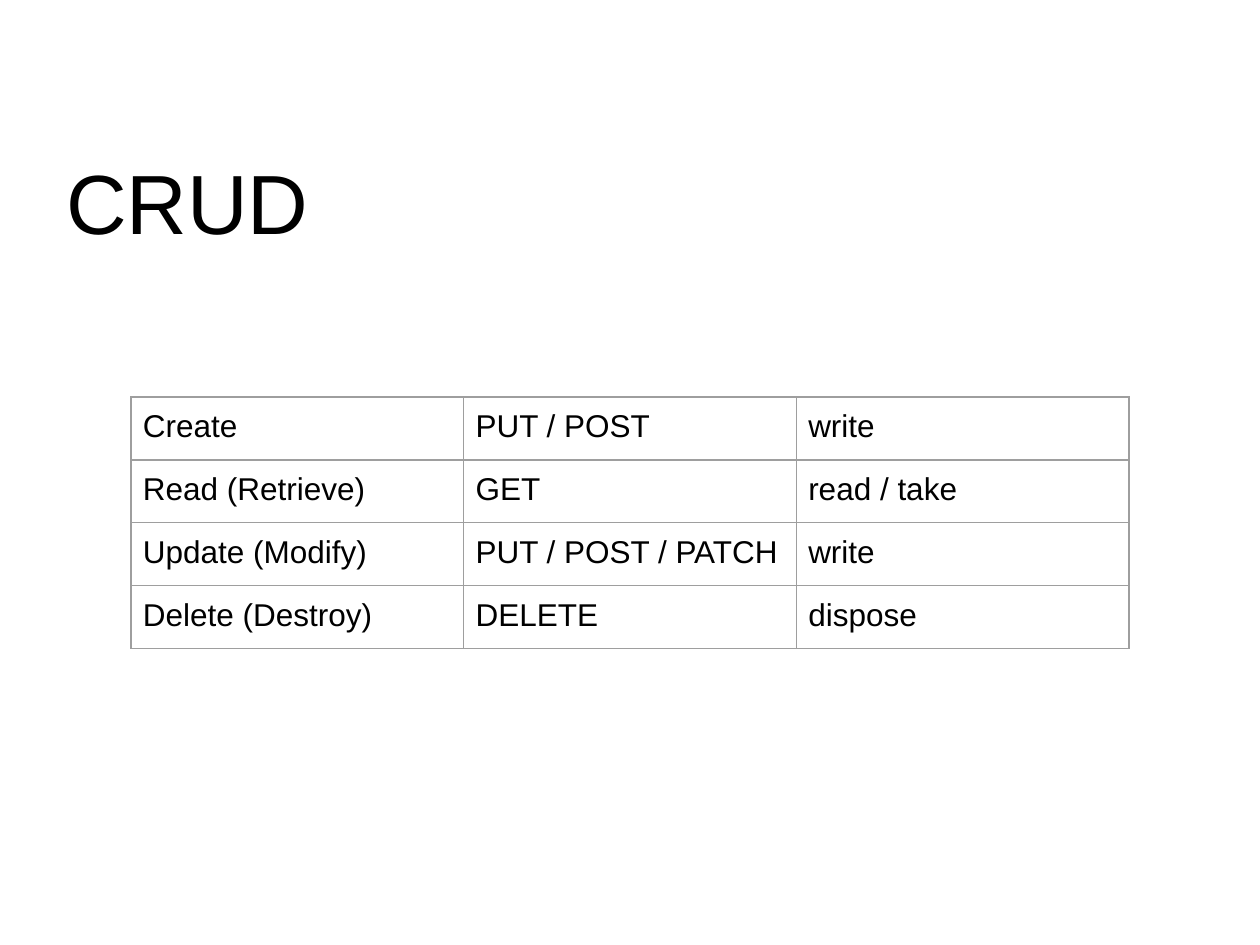
"""Build the CRUD slide: a title above a table of operations, HTTP methods and actions."""
import pptx
import pptx.dml.color
import pptx.enum.text
import pptx.oxml
import pptx.oxml.ns
import pptx.util

THEME = {"font": "Arial", "text": "000000", "border": "9E9E9E", "background": "FFFFFF", "title": 48, "body": 18}
PX = pptx.util.Inches(1) // 126
INSET = 12


def write_text(frame, text, size, top_inset=INSET):
    frame.word_wrap = True
    frame.vertical_anchor = pptx.enum.text.MSO_ANCHOR.TOP
    frame.margin_left = frame.margin_right = frame.margin_bottom = INSET * PX
    frame.margin_top = top_inset * PX
    span = frame.paragraphs[0].add_run()
    span.text = text
    span.font.name = THEME["font"]
    span.font.size = pptx.util.Pt(size)
    span.font.color.rgb = pptx.dml.color.RGBColor.from_string(THEME["text"])


def outline_cell(cell):
    properties = cell._tc.get_or_add_tcPr()
    for position, side in enumerate(("lnL", "lnR", "lnT", "lnB")):
        border = pptx.oxml.parse_xml(
            f'<a:{side} {pptx.oxml.ns.nsdecls("a")} w="{pptx.util.Pt(0.75)}"><a:solidFill>'
            f'<a:srgbClr val="{THEME["border"]}"/></a:solidFill></a:{side}>'
        )
        properties.insert(position, border)


deck = pptx.Presentation()
deck.slide_width, deck.slide_height = 1260 * PX, 945 * PX
page = deck.slides.add_slide(deck.slide_layouts[6])
page.background.fill.solid()
page.background.fill.fore_color.rgb = pptx.dml.color.RGBColor.from_string(THEME["background"])

title_box = page.shapes.add_textbox(54 * PX, 129 * PX, 1171 * PX, 118 * PX)
write_text(title_box.text_frame, "CRUD", THEME["title"], top_inset=22)

operations = [
    ("Create", "PUT / POST", "write"),
    ("Read (Retrieve)", "GET", "read / take"),
    ("Update (Modify)", "PUT / POST / PATCH", "write"),
    ("Delete (Destroy)", "DELETE", "dispose"),
]
row_count, column_count = len(operations), len(operations[0])
frame = page.shapes.add_table(row_count, column_count, 131 * PX, 397 * PX, 998 * PX, row_count * 63 * PX)
table = frame.table
table.first_row = table.horz_banding = False
for row, operation in enumerate(operations):
    for column, text in enumerate(operation):
        cell = table.cell(row, column)
        cell.fill.background()
        outline_cell(cell)
        cell.margin_left = cell.margin_right = cell.margin_top = cell.margin_bottom = INSET * PX
        span = cell.text_frame.paragraphs[0].add_run()
        span.text = text
        span.font.name = THEME["font"]
        span.font.size = pptx.util.Pt(THEME["body"])
        span.font.color.rgb = pptx.dml.color.RGBColor.from_string(THEME["text"])

deck.save("out.pptx")
